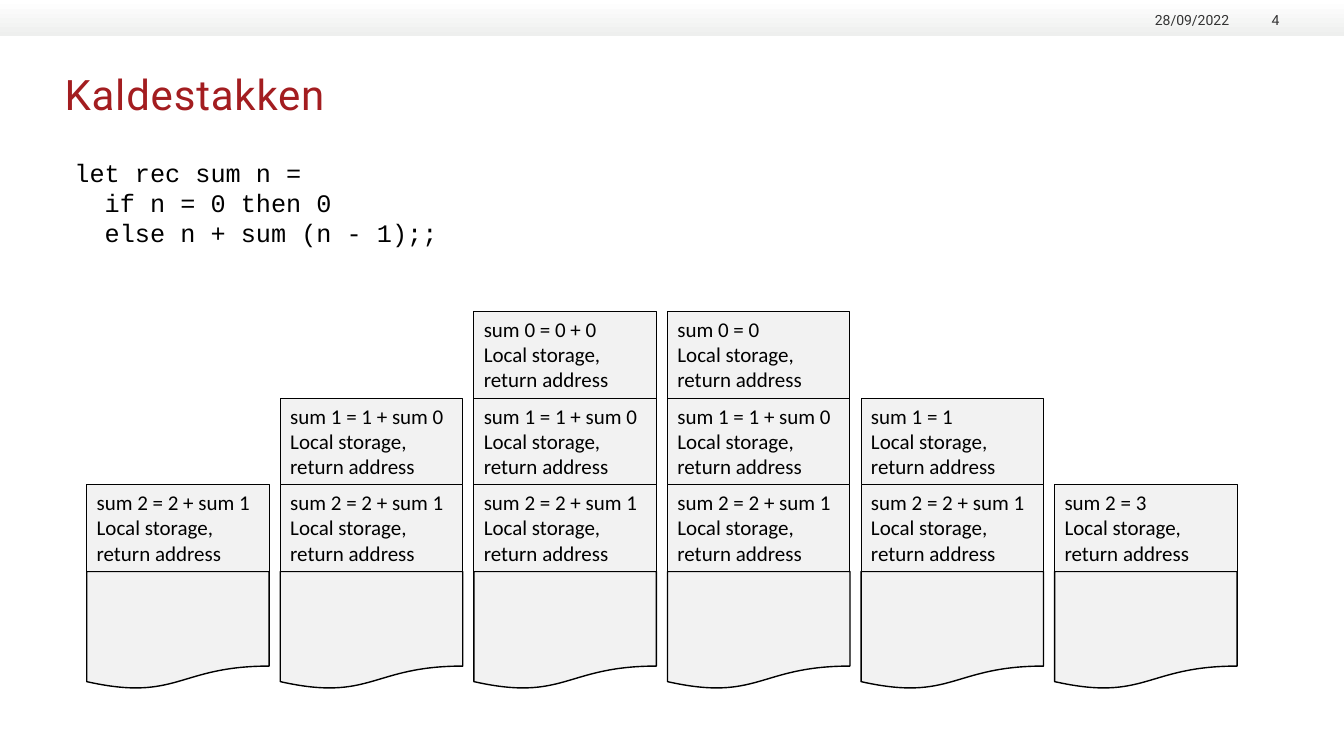
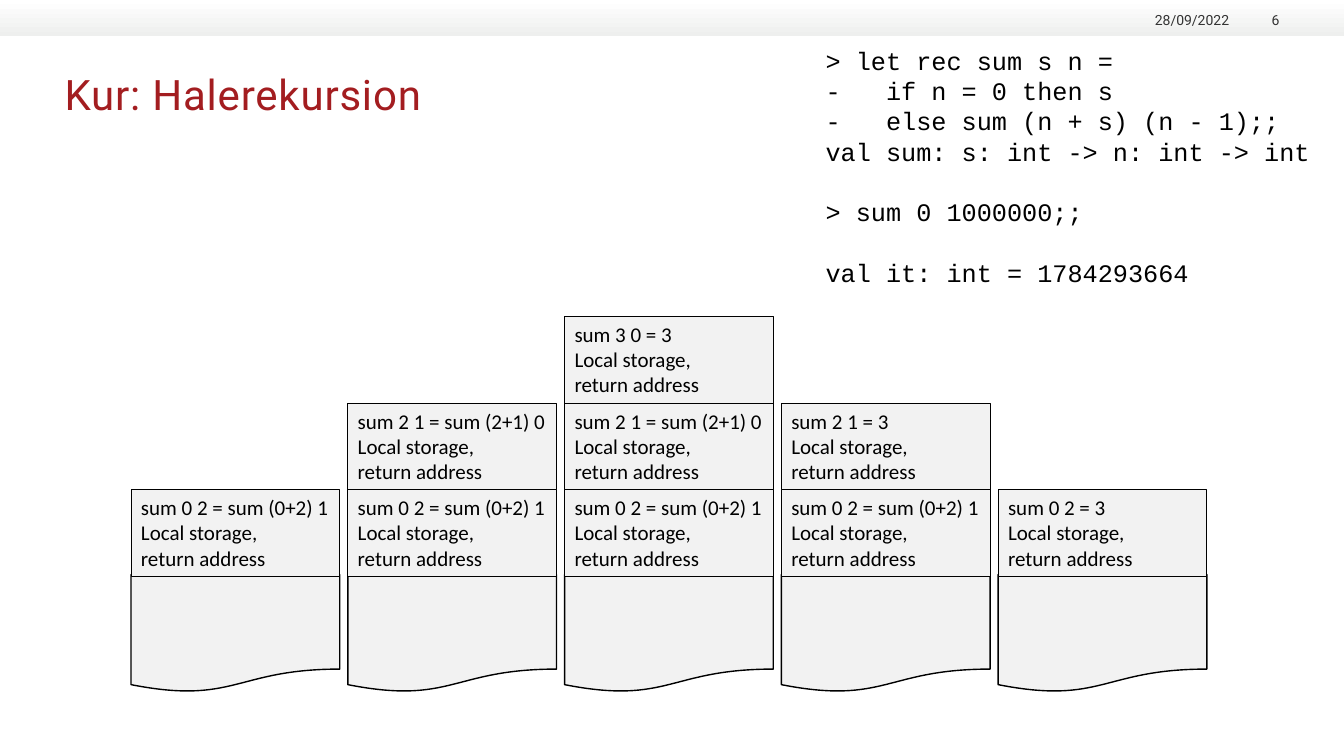
import pptx
import pptx.util
import pptx.dml.color
import pptx.enum.shapes
import pptx.enum.text

Inches, Pt = pptx.util.Inches, pptx.util.Pt
SHAPE = pptx.enum.shapes.MSO_SHAPE
ANCHOR = pptx.enum.text.MSO_ANCHOR
ALIGN = pptx.enum.text.PP_ALIGN

# Content: each stack lists its calls from the bottom up
DATE = "28/09/2022"
FRAME_LINES = ["Local storage,", "return address"]
PAGES = [
    {
        "title": "Kaldestakken",
        "number": "4",
        "code": [
            "let rec sum n =",
            "  if n = 0 then 0",
            "  else n + sum (n - 1);;",
        ],
        "code_at": (0.64, 1.51, 6.66, 1.01),
        "stacks": [
            ["sum 2 = 2 + sum 1"],
            ["sum 2 = 2 + sum 1", "sum 1 = 1 + sum 0"],
            ["sum 2 = 2 + sum 1", "sum 1 = 1 + sum 0", "sum 0 = 0 + 0"],
            ["sum 2 = 2 + sum 1", "sum 1 = 1 + sum 0", "sum 0 = 0"],
            ["sum 2 = 2 + sum 1", "sum 1 = 1"],
            ["sum 2 = 3"],
        ],
        "grid": {"left": 0.86, "pitch": 1.92, "width": 1.81,
                 "floor": 5.67, "base_top": 5.67},
    },
    {
        "title": "Kur: Halerekursion",
        "number": "6",
        "code": [
            "> let rec sum s n =",
            "-   if n = 0 then s",
            "-   else sum (n + s) (n - 1);;",
            "val sum: s: int -> n: int -> int",
            "",
            "> sum 0 1000000;;",
            "",
            "val it: int = 1784293664",
        ],
        "code_at": (8.09, 0.4, 5.2, 2.52),
        "stacks": [
            ["sum 0 2 = sum (0+2) 1"],
            ["sum 0 2 = sum (0+2) 1", "sum 2 1 = sum (2+1) 0"],
            ["sum 0 2 = sum (0+2) 1", "sum 2 1 = sum (2+1) 0", "sum 3 0 = 3"],
            ["sum 0 2 = sum (0+2) 1", "sum 2 1 = 3"],
            ["sum 0 2 = 3"],
        ],
        "grid": {"left": 1.3, "pitch": 2.15, "width": 2.07,
                 "floor": 5.72, "base_top": 5.7},
    },
]

# Shared look
COLORS = {"title": "A31D20", "meta": "333333", "text": "000000",
          "frame": "F2F2F2", "line": "000000",
          "band_top": "FFFFFF", "band_end": "EEEFEE"}
STYLES = {
    "title": {"font": "Roboto", "size": 30, "color": "title", "tracking": 60},
    "meta": {"font": "Roboto", "size": 10, "color": "meta"},
    "code": {"font": "Courier New", "size": 18, "color": "text", "leading": 21.6},
    "frame": {"font": "Calibri", "size": 15, "color": "text"},
}
SLIDE_WIDTH, SLIDE_HEIGHT = 13.33, 7.5
BAND_HEIGHT = 0.36
FRAME_HEIGHT, BASE_HEIGHT = 0.86, 1.17
NO_INSETS = (0, 0, 0, 0)
INSETS = (0.1, 0.05, 0.05, 0.05)


def color(name):
    return pptx.dml.color.RGBColor.from_string(COLORS[name])


def write(box, lines, style_name, insets=INSETS, align=ALIGN.LEFT, anchor=ANCHOR.TOP):
    """Write lines as paragraphs; an empty line becomes space before the next."""
    style = STYLES[style_name]
    frame = box.text_frame
    frame.word_wrap = True
    frame.vertical_anchor = anchor
    (frame.margin_left, frame.margin_top,
     frame.margin_right, frame.margin_bottom) = map(Inches, insets)
    para, gap = None, 0
    for line in lines:
        if not line:
            gap += style["leading"]
            continue
        para = frame.add_paragraph() if para is not None else frame.paragraphs[0]
        para.alignment = align
        if gap:
            para.space_before = Pt(gap)
            gap = 0
        if "leading" in style:
            para.line_spacing = Pt(style["leading"])
        span = para.add_run()
        span.text = line
        span.font.name = style["font"]
        span.font.size = Pt(style["size"])
        span.font.color.rgb = color(style["color"])
        if "tracking" in style:
            span._r.get_or_add_rPr().set("spc", str(style["tracking"]))


def add_text(page, at, lines, style_name, **options):
    write(page.shapes.add_textbox(*map(Inches, at)), lines, style_name, **options)


def add_block(page, kind, at, line_width):
    block = page.shapes.add_shape(kind, *map(Inches, at))
    block.shadow.inherit = False
    block.fill.solid()
    block.fill.fore_color.rgb = color("frame")
    block.line.color.rgb = color("line")
    block.line.width = Pt(line_width)
    return block


def add_band(page):
    band = page.shapes.add_shape(SHAPE.RECTANGLE, 0, 0,
                                 Inches(SLIDE_WIDTH), Inches(BAND_HEIGHT))
    band.shadow.inherit = False
    band.line.fill.background()
    band.fill.gradient()
    band.fill.gradient_angle = 270
    for stop, name, position in zip(band.fill.gradient_stops,
                                    ("band_top", "band_end"), (0, 1)):
        stop.color.rgb = color(name)
        stop.position = position


def add_furniture(page, title, number):
    add_band(page)
    add_text(page, (0.64, 0.68, 12.04, 0.95), [title], "title", insets=NO_INSETS)
    for left, width, text in ((11.3, 0.89, DATE), (12.27, 0.42, number)):
        add_text(page, (left, 0.09, width, 0.19), [text], "meta",
                 insets=NO_INSETS, align=ALIGN.RIGHT, anchor=ANCHOR.BOTTOM)


def add_stacks(page, stacks, grid):
    for column, calls in enumerate(stacks):
        left = grid["left"] + column * grid["pitch"]
        add_block(page, SHAPE.FLOWCHART_DOCUMENT,
                  (left, grid["base_top"], grid["width"], BASE_HEIGHT), 1)
        for level, call in enumerate(calls, start=1):
            top = grid["floor"] - level * FRAME_HEIGHT
            block = add_block(page, SHAPE.RECTANGLE,
                              (left, top, grid["width"], FRAME_HEIGHT), 0.75)
            write(block, [call] + FRAME_LINES, "frame")


def main():
    deck = pptx.Presentation()
    deck.slide_width, deck.slide_height = Inches(SLIDE_WIDTH), Inches(SLIDE_HEIGHT)
    for content in PAGES:
        page = deck.slides.add_slide(deck.slide_layouts[6])
        add_furniture(page, content["title"], content["number"])
        add_text(page, content["code_at"], content["code"], "code")
        add_stacks(page, content["stacks"], content["grid"])
    deck.save("out.pptx")


if __name__ == "__main__":
    main()
